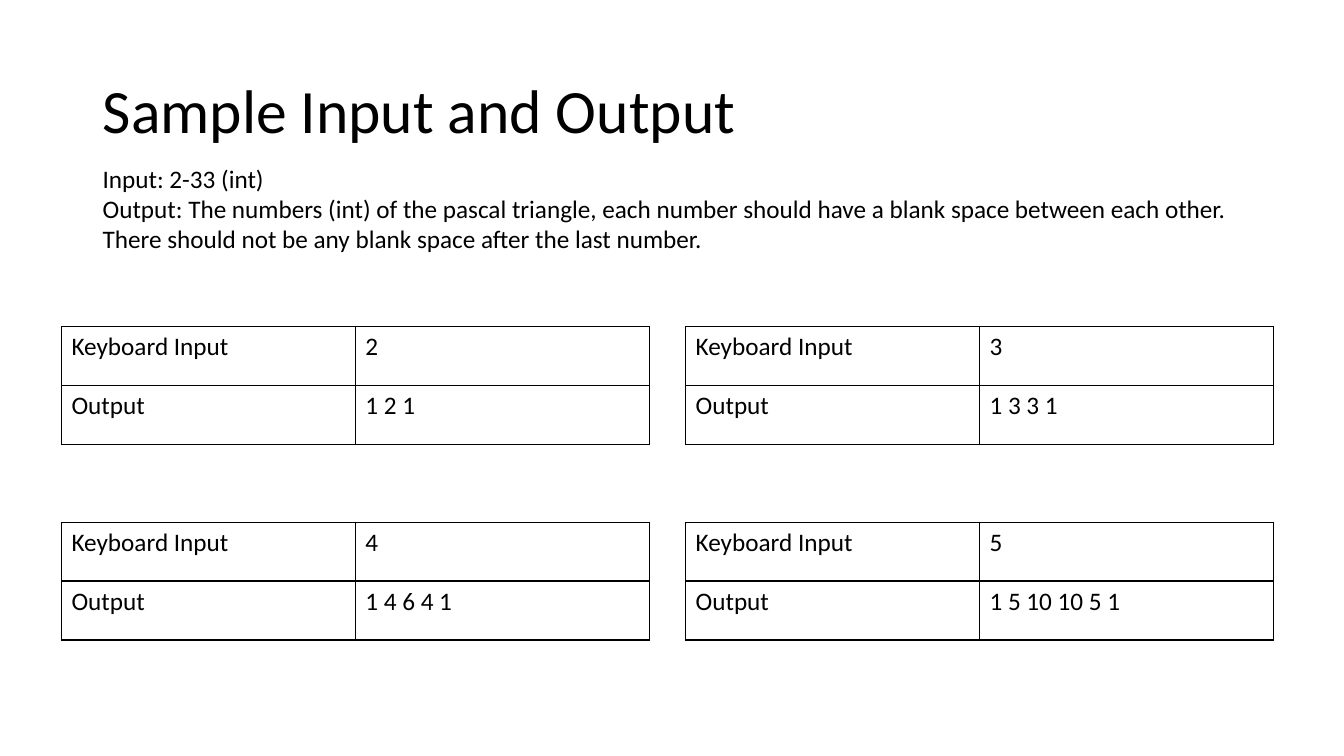
"""Build the slide with sample inputs and outputs for Pascal's triangle."""
from lxml import etree
from pptx import Presentation
from pptx.dml.color import RGBColor
from pptx.enum.text import MSO_ANCHOR, MSO_AUTO_SIZE, PP_ALIGN
from pptx.oxml.ns import qn
from pptx.util import Inches, Pt

MIDDLE = MSO_ANCHOR.MIDDLE
GROW = MSO_AUTO_SIZE.SHAPE_TO_FIT_TEXT
LEFT = PP_ALIGN.LEFT
BLACK = "000000"


def style(paragraph, size):
    paragraph.alignment = LEFT
    paragraph.font.name = "Calibri"
    paragraph.font.size = Pt(size)
    paragraph.font.color.rgb = RGBColor.from_string(BLACK)


def add_borders(cell):
    properties = cell._tc.get_or_add_tcPr()
    for edge in ("a:lnL", "a:lnR", "a:lnT", "a:lnB"):
        line = etree.SubElement(properties, qn(edge), w=str(Pt(1)))
        fill = etree.SubElement(line, qn("a:solidFill"))
        etree.SubElement(fill, qn("a:srgbClr"), val=BLACK)


prs = Presentation()
prs.slide_width, prs.slide_height = Inches(13.33), Inches(7.5)
slide = prs.slides.add_slide(prs.slide_layouts[5])

title = slide.shapes.title
title.left, title.top = Inches(0.92), Inches(0.4)
title.width, title.height = Inches(11.5), Inches(1.45)
title.text_frame.text = "Sample Input and Output"
title.text_frame.vertical_anchor = MIDDLE
heading = title.text_frame.paragraphs[0]
heading.line_spacing = 0.9
style(heading, 44)

rules = slide.shapes.add_textbox(Inches(0.92), Inches(1.57), Inches(11.9), Inches(1.01)).text_frame
rules.word_wrap = True
rules.auto_size = GROW
rules.text = (
    "Input: 2-33 (int)\n"
    "Output: The numbers (int) of the pascal triangle, each number should have "
    "a blank space between each other. There should not be any blank space "
    "after the last number."
)
for rule in rules.paragraphs:
    style(rule, 18)

samples = [("2", "1 2 1"), ("3", "1 3 3 1"), ("4", "1 4 6 4 1"), ("5", "1 5 10 10 5 1")]
for index, (keyed, printed) in enumerate(samples):
    grid_row, grid_column = divmod(index, 2)
    sample = slide.shapes.add_table(
        2, 2,
        Inches(0.61 + 6.19 * grid_column), Inches(3.24 + 1.94 * grid_row),
        Inches(5.83), Inches(1.17),
    ).table
    sample.first_row = sample.horz_banding = False
    for row, texts in enumerate([("Keyboard Input", keyed), ("Output", printed)]):
        for column, text in enumerate(texts):
            cell = sample.cell(row, column)
            cell.text = text
            style(cell.text_frame.paragraphs[0], 18)
            add_borders(cell)
            cell.fill.background()

prs.save("out.pptx")
